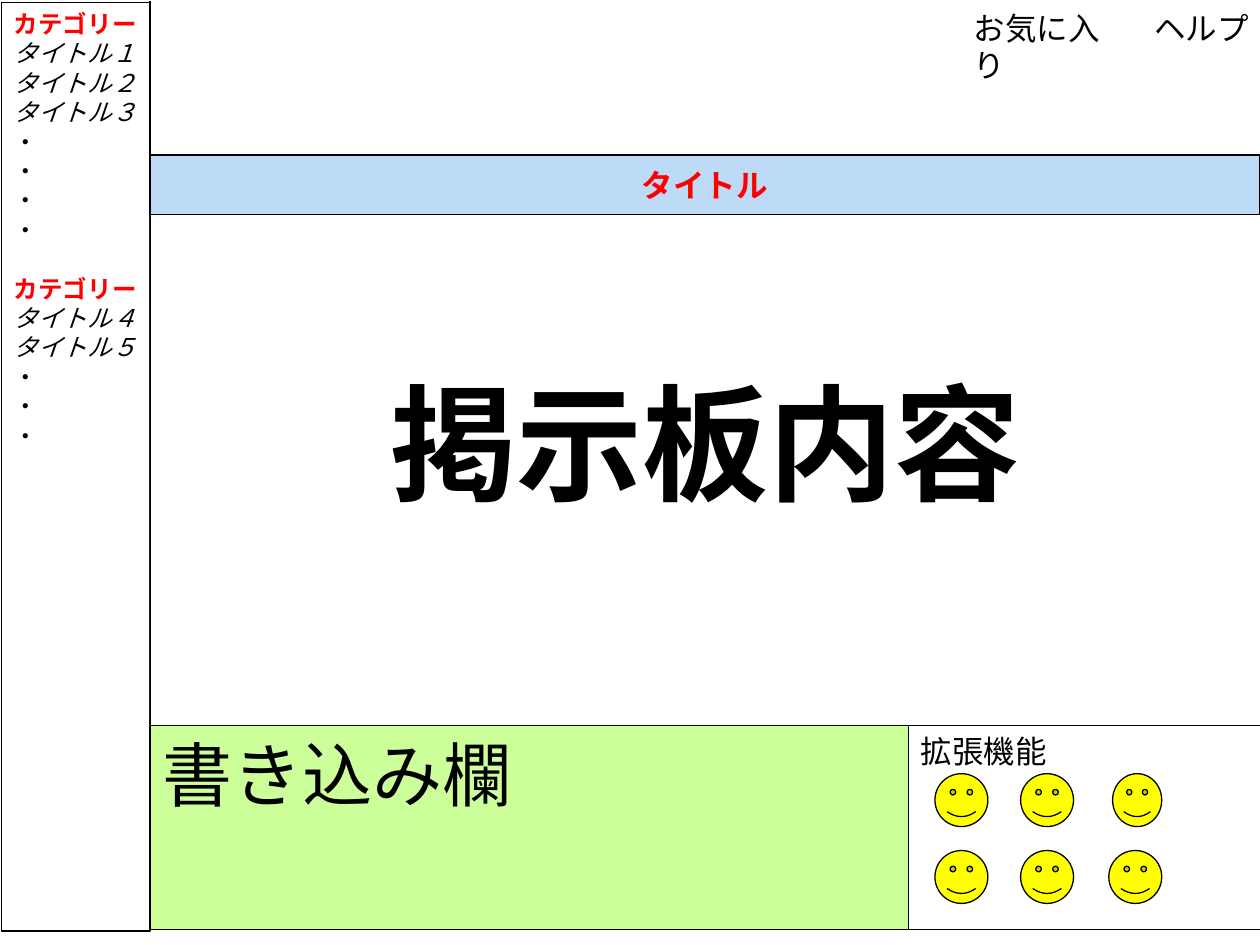
from dataclasses import dataclass

from lxml import etree
from pptx import Presentation
from pptx.dml import color as dml
from pptx.enum import shapes, text
from pptx.oxml import ns
from pptx.util import Inches, Pt

COLORS = {
    "ink": "000000",
    "paper": "FFFFFF",
    "red": "FF0000",
    "blue": "7DB6EF",
    "green": "CCFF99",
    "yellow": "FFFF00",
}
FONT = "Arial"
LEFT, CENTER, RIGHT = (text.PP_ALIGN.LEFT, text.PP_ALIGN.CENTER,
                       text.PP_ALIGN.RIGHT)
TOP, MIDDLE = text.MSO_ANCHOR.TOP, text.MSO_ANCHOR.MIDDLE


@dataclass
class Box:
    left: float
    top: float
    width: float
    height: float


@dataclass
class Style:
    size: float
    color: str = "ink"
    bold: bool = False
    italic: bool = False
    align: int = LEFT


@dataclass
class Panel:
    box: Box
    fill: str
    line: float = 0.75
    alpha: int = 100


def rgb(name: str) -> dml.RGBColor:
    return dml.RGBColor.from_string(COLORS[name])


def place(shape, box: Box) -> None:
    shape.left, shape.top = Inches(box.left), Inches(box.top)
    shape.width, shape.height = Inches(box.width), Inches(box.height)


def paint(shape, panel: Panel) -> None:
    shape.fill.solid()
    shape.fill.fore_color.rgb = rgb(panel.fill)
    if panel.alpha < 100:
        tint = shape.fill._xPr.find(".//" + ns.qn("a:srgbClr"))
        etree.SubElement(tint, ns.qn("a:alpha"), val=str(panel.alpha * 1000))
    shape.line.color.rgb = rgb("ink")
    shape.line.width = Pt(panel.line)


def add_panel(slide, panel: Panel, kind=shapes.MSO_SHAPE.RECTANGLE):
    box = panel.box
    shape = slide.shapes.add_shape(
        kind, Inches(box.left), Inches(box.top),
        Inches(box.width), Inches(box.height))
    shape.shadow.inherit = False
    paint(shape, panel)
    return shape


def format_para(para, style: Style) -> None:
    para.alignment = style.align
    font = para.font
    font.name, font.size = FONT, Pt(style.size)
    font.bold, font.italic = style.bold, style.italic
    font.color.rgb = rgb(style.color)


def write(shape, words: str, style: Style, anchor=TOP) -> None:
    frame = shape.text_frame
    frame.word_wrap = True
    frame.auto_size = text.MSO_AUTO_SIZE.NONE
    frame.vertical_anchor = anchor
    frame.text = words
    for para in frame.paragraphs:
        format_para(para, style)


def add_label(slide, box: Box, words: str, style: Style) -> None:
    shape = slide.shapes.add_textbox(0, 0, 0, 0)
    place(shape, box)
    write(shape, words, style)


def add_rule(slide, x: float, top: float, end: float) -> None:
    rule = slide.shapes.add_connector(
        shapes.MSO_CONNECTOR.STRAIGHT,
        Inches(x), Inches(top), Inches(x), Inches(end))
    rule.line.color.rgb = rgb("ink")
    rule.line.width = Pt(0.75)
    etree.SubElement(rule._element.spPr, ns.qn("a:effectLst"))


def fill_menu(menu, groups: list) -> None:
    head = Style(14, "red", bold=True)
    link, dot = Style(14, italic=True), Style(14)
    rows = []
    for name, titles, dots in groups:
        rows += [(name, head)]
        rows += [(title, link) for title in titles]
        rows += [("・", dot)] * dots
    write(menu, "\n".join(words for words, _ in rows), dot)
    for i, (para, (_, style)) in enumerate(
            zip(menu.text_frame.paragraphs, rows)):
        format_para(para, style)
        para.space_before = Pt(16.8 if style is head and i else 0)
        props = para._p.get_or_add_pPr()
        props.set("marL", "0")
        props.set("indent", "0")
        # The bullet setting precedes the default run settings
        mark = etree.Element(ns.qn("a:buNone"))
        props.find(ns.qn("a:defRPr")).addprevious(mark)


def main() -> None:
    deck = Presentation()
    deck.slide_width, deck.slide_height = Inches(10), Inches(7.5)
    slide = deck.slides.add_slide(deck.slide_layouts[1])
    title, menu = slide.placeholders
    tree = slide.shapes._spTree

    # Category menu
    side, wide = 1.19, 8.81
    add_rule(slide, side, 0.01, 7.38)
    tree.append(menu._element)
    panel = Panel(Box(0.01, 0.02, 1.18, 7.37), "paper")
    place(menu, panel.box)
    paint(menu, panel)
    fill_menu(menu, [
        ("カテゴリー", ["タイトル１", "タイトル２", "タイトル３"], 4),
        ("カテゴリー", ["タイトル４", "タイトル５"], 3),
    ])

    # Board content
    board = add_panel(
        slide, Panel(Box(side, 1.23, wide, 4.54), "paper", 0.25, 80))
    write(board, "掲示板内容", Style(72, bold=True, align=CENTER), MIDDLE)

    # Title bar, above the board
    tree.append(title._element)
    panel = Panel(Box(side, 1.23, wide, 0.47), "blue", alpha=50)
    place(title, panel.box)
    paint(title, panel)
    write(title, "タイトル", Style(18, "red", bold=True, align=CENTER), MIDDLE)

    # Top links
    add_label(slide, Box(9.03, 0.02, 0.98, 0.4), "ヘルプ",
              Style(18, align=RIGHT))
    add_label(slide, Box(7.63, 0.02, 1.39, 0.7), "お気に入り", Style(18))

    # Post form and extras
    low, tall = 5.76, 1.62
    add_panel(slide, Panel(Box(side, low, wide, tall), "paper"))
    form = add_panel(slide, Panel(Box(side, low, 6.02, tall), "green"))
    write(form, "書き込み欄", Style(40))
    extra = add_panel(slide, Panel(Box(7.21, low, 2.8, tall), "paper"))
    write(extra, "拡張機能", Style(18))

    # Smileys: the last column lines up on its right edge
    size, end = 0.42, 9.22
    for top, last in ((6.14, 0.39), (6.75, size)):
        for left, width in ((7.42, size), (8.1, size), (end - last, last)):
            face = add_panel(slide, Panel(Box(left, top, width, size), "yellow"),
                             shapes.MSO_SHAPE.SMILEY_FACE)
            face.adjustments[0] = 0.047

    deck.save("out.pptx")


if __name__ == "__main__":
    main()
